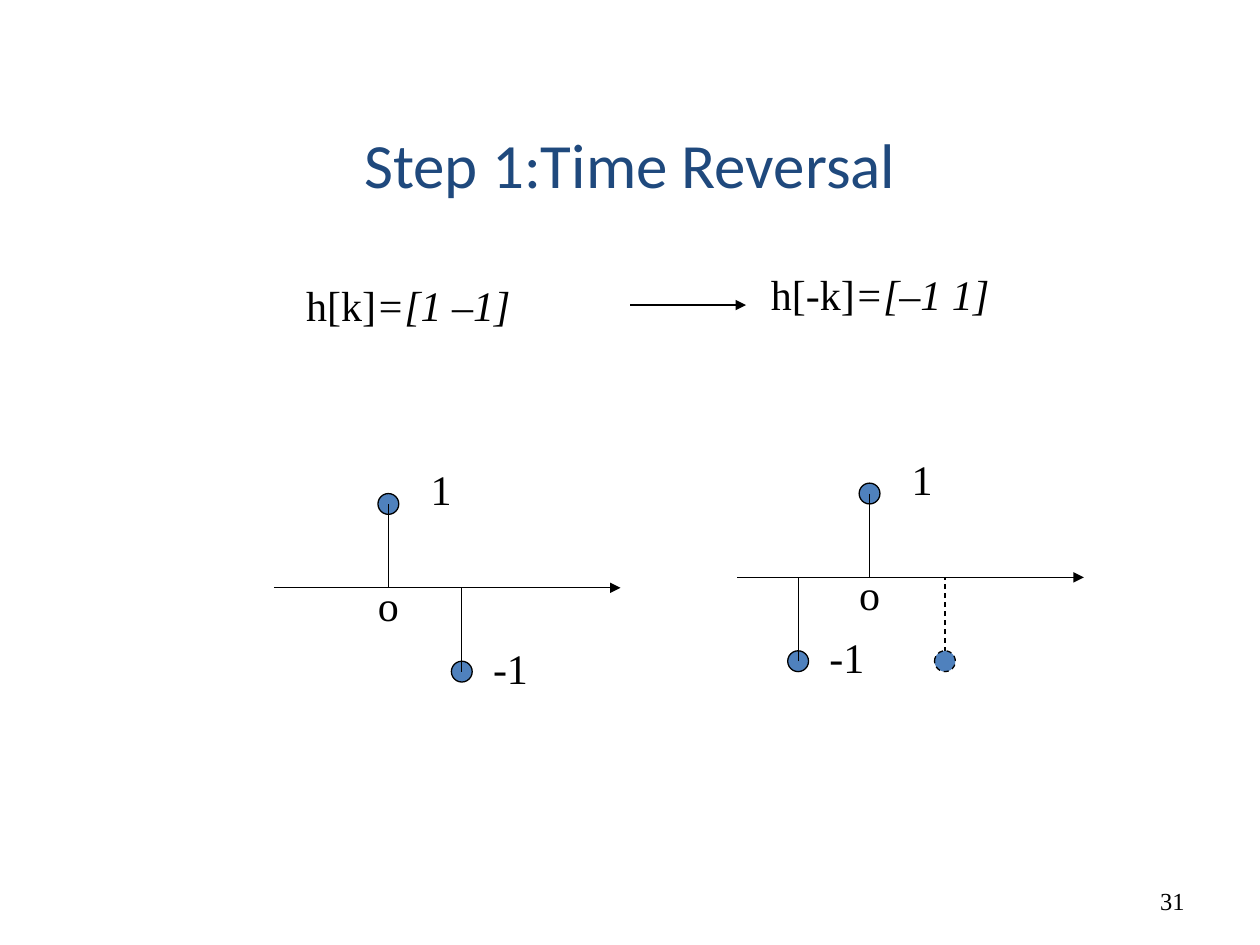
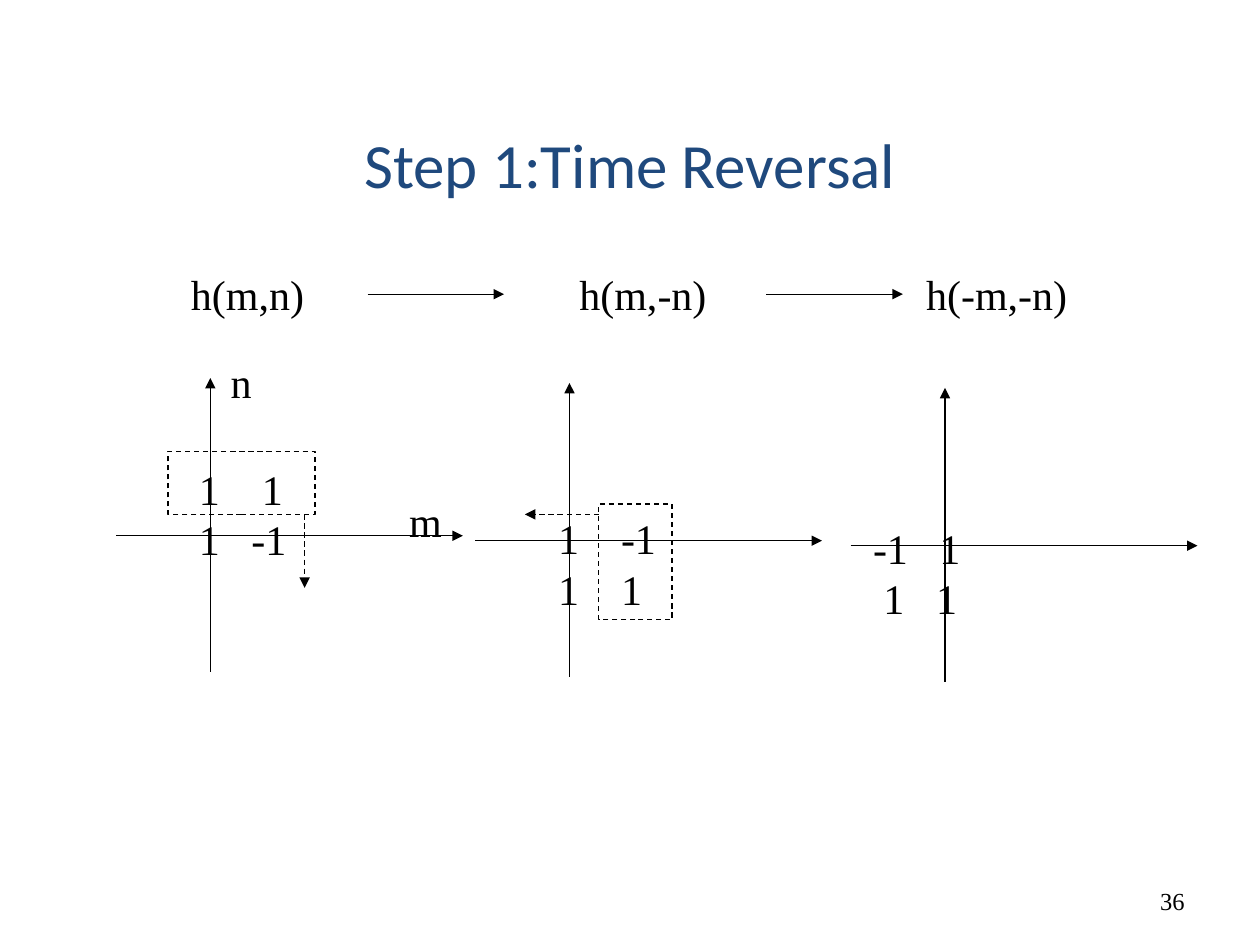
from lxml.etree import SubElement
from pptx import Presentation
from pptx.dml.color import RGBColor
from pptx.enum.dml import MSO_LINE_DASH_STYLE as DASH
from pptx.enum.shapes import MSO_CONNECTOR as CONNECTOR, MSO_SHAPE as SHAPE
from pptx.enum.text import MSO_ANCHOR as ANCHOR, PP_ALIGN as ALIGN
from pptx.oxml.ns import qn
from pptx.util import Cm, Pt

TITLE = "Step 1:Time Reversal"
BLACK, NAVY, BLUE = "000000", "1F497D", "4F81BD"
BODY_FONT, TITLE_FONT = "Times New Roman", "Calibri"
AXIS_LENGTH, STEM_HEIGHT, DOT_SIZE, LABEL_HEIGHT = 6.99, 1.69, 0.42, 1.27

SIGNAL_FORMULAS = [
    (5.92, 5.51, 4.85, ["h[k]", "=[1 –1]"]),
    (15.29, 5.28, 5.1, ["h[-k]", "=[–1 1]"]),
]
SIGNAL_ARROW = (12.7, 6.15, 15.04, 6.15)
STEM_PLOTS = [
    {"axis": (5.52, 11.85), "origin": 7.83, "stems": [(7.83, 1, "1"), (9.31, -1, "-1")]},
    {"axis": (14.86, 11.64), "origin": 17.53,
     "stems": [(17.53, 1, "1"), (16.09, -1, "-1"), (19.05, -1, None)]},
]
VALUE_OFFSETS = {1: (0.6, -0.94), -1: (0.38, -0.72)}

IMAGE_LABELS = [
    (3.6, 5.28, 2.9, ["h(m,n)"]),
    (11.43, 5.28, 3.2, ["h(m,-n)"]),
    (18.42, 5.28, 3.45, ["h(-m,-n)"]),
    (8.0, 9.87, 1.25, ["m"]),
    (4.4, 7.07, 1.0, ["n"]),
]
IMAGE_ARROWS = [(7.41, 5.93, 10.16, 5.93), (15.45, 5.93, 18.2, 5.93)]
MATRIX_PLOTS = [
    {"origin": (4.24, 10.8), "corner": (3.76, 9.22),
     "rows": [("1\t1", [1.27]), ("1\t-1", [1.06])]},
    {"origin": (11.48, 10.9), "corner": (11.0, 10.21),
     "rows": [("1\t-1", [1.27]), ("1\t1", [1.27])]},
    {"origin": (19.05, 11.0), "corner": (17.35, 10.41),
     "rows": [("-1\t1", [1.34]), ("\t1\t1", [0.21, 1.27])]},
]
FLIP_BOXES = [(3.39, 9.1, 2.96, 1.27), (12.07, 10.16, 1.48, 2.33)]
FLIP_ARROWS = [(6.14, 10.37, 6.14, 11.85), (12.07, 10.37, 10.58, 10.37)]


def color(value):
    return RGBColor.from_string(value)


def style_line(line, dashed):
    line.color.rgb = color(BLACK)
    line.width = Pt(0.75)
    if dashed:
        line.dash_style = DASH.DASH


def add_line(slide, ends, arrow=False, dashed=False):
    connector = slide.shapes.add_connector(CONNECTOR.STRAIGHT, *map(Cm, ends))
    style_line(connector.line, dashed)
    properties = connector._element.spPr
    if arrow:
        SubElement(properties.find(qn("a:ln")), qn("a:tailEnd"), type="triangle")
    SubElement(properties, qn("a:effectLst"))


def add_outline(slide, kind, box, fill=None, dashed=False):
    shape = slide.shapes.add_shape(kind, *map(Cm, box))
    shape.shadow.inherit = False
    style_line(shape.line, dashed)
    if fill:
        shape.fill.solid()
        shape.fill.fore_color.rgb = color(fill)
    else:
        shape.fill.background()


def style_run(run, size, font, ink):
    run.font.size = Pt(size)
    run.font.name = font
    run.font.color.rgb = color(ink)


def add_text(slide, box, paragraphs, size=24, font=BODY_FONT, ink=BLACK,
             align=ALIGN.LEFT, anchor=ANCHOR.TOP):
    frame = slide.shapes.add_textbox(*map(Cm, box)).text_frame
    frame.word_wrap = True
    frame.vertical_anchor = anchor
    for index, parts in enumerate(paragraphs):
        paragraph = frame.add_paragraph() if index else frame.paragraphs[0]
        paragraph.alignment = align
        for position, part in enumerate(parts):
            run = paragraph.add_run()
            run.text = part
            style_run(run, size, font, ink)
            if position:
                run.font.italic = True
    return frame


def add_label(slide, left, top, width, parts):
    add_text(slide, (left, top, width, LABEL_HEIGHT), [parts])


def add_base(presentation, number):
    slide = presentation.slides.add_slide(presentation.slide_layouts[6])
    add_text(slide, (18.2, 17.65, 5.93, 1.02), [[number]], 14,
             align=ALIGN.RIGHT, anchor=ANCHOR.MIDDLE)
    add_text(slide, (1.9, 1.7, 21.6, 3.18), [[TITLE]], 36, TITLE_FONT, NAVY,
             ALIGN.CENTER, ANCHOR.MIDDLE)
    return slide


def add_stem_plot(slide, axis, origin, stems):
    left, base = axis
    add_line(slide, (left, base, left + AXIS_LENGTH, base), arrow=True)
    for x, value, label in stems:
        tip = base - value * STEM_HEIGHT
        stem = (x, tip, x, base)
        dot = (x - DOT_SIZE / 2, tip - DOT_SIZE / 2, DOT_SIZE, DOT_SIZE)
        if label:
            add_outline(slide, SHAPE.OVAL, dot, BLUE)
            add_line(slide, stem)
            right, down = VALUE_OFFSETS[value]
            add_label(slide, x + right, tip + down, 1.35, [label])
        else:
            add_line(slide, stem, dashed=True)
            add_outline(slide, SHAPE.OVAL, dot, BLUE, dashed=True)
    add_label(slide, origin - 0.46, base - 0.3, 1.0, ["o"])


def add_matrix_plot(slide, origin, corner, rows):
    x, y = origin
    add_line(slide, (x - 1.9, y, x - 1.9 + AXIS_LENGTH, y), arrow=True)
    add_line(slide, (x, y + 2.74, x, y - 3.18), arrow=True)
    frame = add_text(slide, (*corner, 2.5, 2.29), [[text] for text, stops in rows])
    for paragraph, (text, stops) in zip(frame.paragraphs, rows):
        tabs = SubElement(paragraph._p.get_or_add_pPr(), qn("a:tabLst"))
        for stop in stops:
            SubElement(tabs, qn("a:tab"), pos=str(Cm(stop)), algn="l")


def build_signal_slide(presentation):
    slide = add_base(presentation, "31")
    for formula in SIGNAL_FORMULAS:
        add_label(slide, *formula)
    add_line(slide, SIGNAL_ARROW, arrow=True)
    for plot in STEM_PLOTS:
        add_stem_plot(slide, **plot)


def build_image_slide(presentation):
    slide = add_base(presentation, "36")
    for label in IMAGE_LABELS:
        add_label(slide, *label)
    for arrow in IMAGE_ARROWS:
        add_line(slide, arrow, arrow=True)
    for plot in MATRIX_PLOTS:
        add_matrix_plot(slide, **plot)
    for box in FLIP_BOXES:
        add_outline(slide, SHAPE.RECTANGLE, box, dashed=True)
    for arrow in FLIP_ARROWS:
        add_line(slide, arrow, arrow=True, dashed=True)


def main():
    """Build the two time reversal slides."""
    presentation = Presentation()
    presentation.slide_width, presentation.slide_height = Cm(25.4), Cm(19.05)
    build_signal_slide(presentation)
    build_image_slide(presentation)
    presentation.save("out.pptx")


if __name__ == "__main__":
    main()
